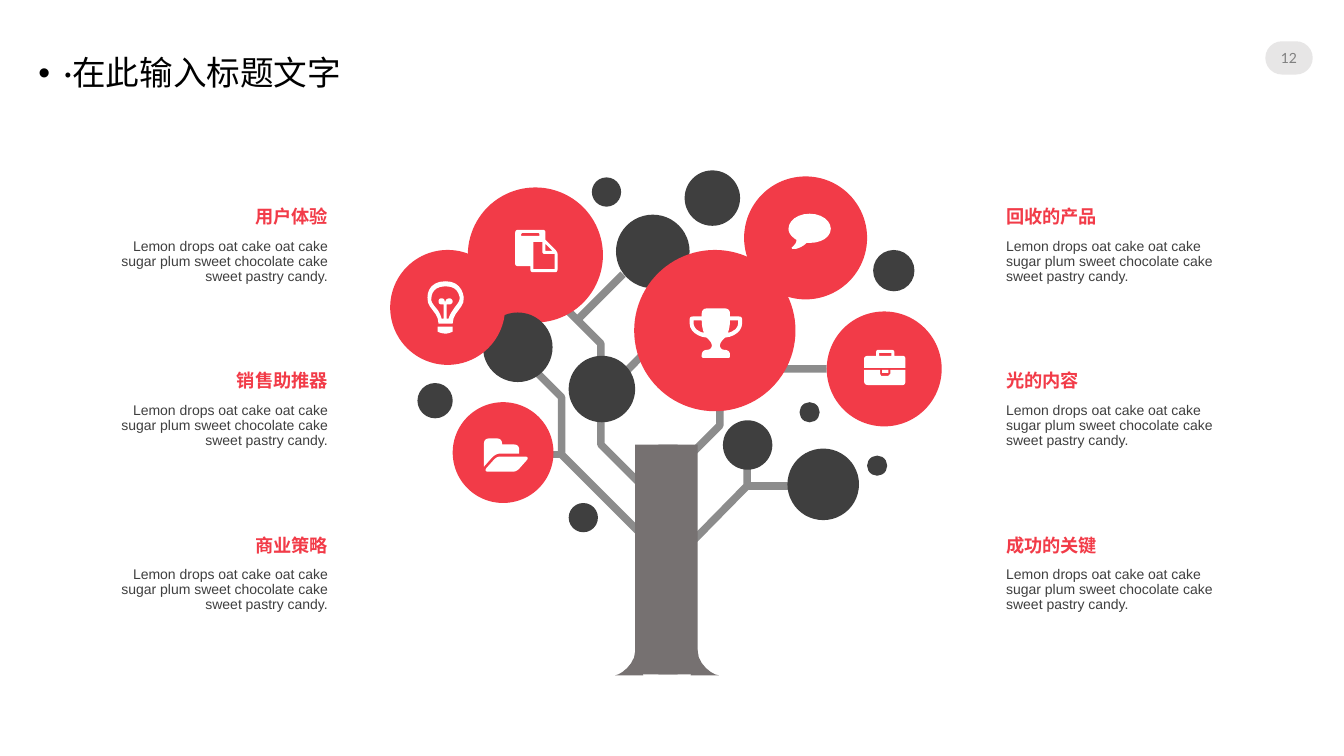
from dataclasses import dataclass

from lxml.etree import SubElement
from pptx import Presentation
from pptx.dml.color import RGBColor
from pptx.enum.lang import MSO_LANGUAGE_ID
from pptx.enum.shapes import MSO_CONNECTOR, MSO_SHAPE
from pptx.enum.text import MSO_ANCHOR, MSO_AUTO_SIZE, PP_ALIGN
from pptx.oxml.ns import qn
from pptx.shapes.autoshape import Shape
from pptx.slide import Slide
from pptx.text.text import TextFrame
from pptx.util import Emu, Inches, Pt

RED = RGBColor(0xF2, 0x3B, 0x48)
DARK = RGBColor(0x3F, 0x3F, 0x3F)
BRANCH_GRAY = RGBColor(0x8C, 0x8C, 0x8C)
TRUNK_GRAY = RGBColor(0x76, 0x71, 0x71)
PILL_GRAY = RGBColor(0xE7, 0xE6, 0xE6)
NUMBER_GRAY = RGBColor(0x80, 0x80, 0x80)
WHITE = RGBColor(0xFF, 0xFF, 0xFF)
BLACK = RGBColor(0, 0, 0)

CELL = Inches(0.01)
COLUMNS, ROWS = 1333, 750
CURVE_STEPS = 6
BODY = "Lemon drops oat cake oat cake sugar plum sweet chocolate cake sweet pastry candy."
FIRST_TOPIC_ROW, TOPIC_STEP = 206, 163

Point = tuple[float, float]


@dataclass(frozen=True)
class Box:
    column: float
    row: float
    columns: float
    rows: float

    def lengths(self) -> tuple[Emu, Emu, Emu, Emu]:
        return tuple(cells(count) for count in (self.column, self.row, self.columns, self.rows))


@dataclass(frozen=True)
class Circle:
    column: float
    row: float
    diameter: float
    color: RGBColor = DARK


@dataclass(frozen=True)
class TextStyle:
    size: float
    color: RGBColor
    font: str = "Arial"
    bold: bool = False
    alignment: PP_ALIGN = PP_ALIGN.LEFT
    space_before: float = 7.5
    line_spacing: float = 0.9


@dataclass(frozen=True)
class TopicSide:
    column: float
    alignment: PP_ALIGN
    headings: tuple[str, ...]


BRANCHES = (
    "M 650 544 L 557 451 557 394 517 354",
    "M 684 452 L 714 422 714 352 784 282 784 238",
    "M 714 406 L 754 366 820 366",
    "M 650 339 L 596 394",
    "M 548 293 L 596 341 596 441 638 483",
    "M 755 312 L 703 260",
    "M 684 540 L 741 482 741 441",
    "M 557 451 L 530 451",
    "M 741 482 L 784 482",
    "M 572 318 L 618 272",
)
ROOTS = (
    "M 630 646 C 630 659 615 670 610 670 L 638 670 630 644",
    "M 692 646 C 692 659 707 670 713 670 L 685 670 692 644",
)
CIRCLES = (
    Circle(820, 309, 114, RED), Circle(738, 175, 122, RED), Circle(464, 186, 134, RED),
    Circle(781, 445, 71), Circle(611, 213, 73), Circle(449, 399, 100, RED),
    Circle(564, 353, 66), Circle(717, 417, 49), Circle(414, 380, 35),
    Circle(866, 248, 41), Circle(587, 176, 29), Circle(564, 499, 29),
    Circle(860, 452, 20), Circle(479, 310, 69), Circle(793, 399, 20),
    Circle(387, 248, 114, RED), Circle(679, 169, 55), Circle(629, 248, 160, RED),
)
BRIEFCASE = (
    "M 875 367 L 881 367 881 370 875 370 "
    "M 857 367 L 873 367 873 371 874 373 881 373 883 371 883 367 898 367 898 378 "
    "C 898 381 897 382 895 382 L 861 382 C 859 382 857 381 857 378 "
    "M 872 350 L 872 353 884 353 884 350 "
    "M 871 347 L 884 347 C 886 347 887 348 887 349 L 887 353 895 353 "
    "C 897 353 898 354 898 356 L 898 365 857 365 857 356 C 857 354 859 353 861 353 "
    "L 869 353 869 349 C 869 348 870 347 871 347"
)
SPEECH_BUBBLE = (
    "M 803 212 C 815 212 824 219 824 227 C 824 235 815 241 803 241 L 800 241 "
    "C 797 244 793 246 789 247 L 786 247 785 246 C 788 243 790 241 790 238 "
    "C 785 235 782 231 782 227 C 782 219 791 212 803 212"
)
FOLDER = (
    "M 496 453 L 521 453 C 523 453 524 454 523 456 L 515 465 C 513 467 511 468 509 468 "
    "L 484 468 C 482 468 481 467 482 465 L 490 456 C 492 454 494 453 496 453 "
    "M 485 435 L 493 435 C 496 435 498 437 498 440 L 498 441 510 441 "
    "C 513 441 515 443 515 446 L 515 450 496 450 C 493 450 490 452 488 454 "
    "L 480 463 480 440 C 480 437 482 435 485 435"
)
DOCUMENTS = (
    "M 541 242 L 541 249 548 249 "
    "M 529 240 L 529 267 550 267 550 252 540 252 C 539 252 538 251 538 250 L 538 240 "
    "M 518 231 L 517 232 517 234 518 234 534 234 535 234 535 232 534 231 "
    "M 514 228 L 539 228 C 540 228 541 229 541 231 L 541 238 542 239 551 248 "
    "C 552 249 553 251 553 252 L 553 267 C 553 269 552 270 551 270 L 528 270 "
    "C 527 270 526 269 526 267 L 526 264 514 264 C 512 264 511 263 511 262 "
    "L 511 231 C 511 229 512 228 514 228"
)
BULB = (
    "M 449 321 C 449 309 461 306 460 295 C 459 287 454 279 442 279 "
    "C 429 279 424 287 424 295 C 423 306 435 309 435 321 "
    "M 428 295 C 428 292 430 284 442 284 C 454 284 455 292 456 295 "
    "C 456 299 454 301 451 305 C 449 308 446 312 445 316 L 443 316 443 302 446 302 "
    "C 447 302 449 301 449 299 C 449 297 447 296 446 296 C 444 296 442 297 442 299 "
    "L 441 299 C 441 297 440 296 438 296 C 436 296 435 297 435 299 "
    "C 435 301 436 302 438 302 L 440 302 440 316 438 316 "
    "C 437 312 435 308 432 305 C 429 301 427 299 428 295"
)
BULB_BASE = "M 434 329 C 436 330 439 331 442 331 C 444 331 447 330 449 329 L 449 324 434 324"
TROPHY = (
    "M 724 318 C 724 323 723 327 722 330 C 725 330 727 328 729 327 "
    "C 731 325 732 323 732 321 L 732 318 "
    "M 688 318 L 688 321 C 688 323 689 325 691 327 C 693 328 695 330 698 330 "
    "C 697 327 696 323 696 318 "
    "M 701 306 L 719 306 C 722 306 724 308 724 311 L 724 314 733 314 "
    "C 735 314 736 315 736 317 L 736 321 C 736 328 729 334 719 335 "
    "C 716 338 714 340 714 343 C 714 345 716 347 718 347 C 722 347 724 349 724 352 "
    "L 724 354 723 355 697 355 696 354 696 352 C 696 349 698 347 702 347 "
    "C 704 347 706 345 706 343 C 706 340 704 338 701 335 C 691 334 684 328 684 321 "
    "L 684 317 C 684 315 685 314 687 314 L 696 314 696 311 C 696 308 698 306 701 306"
)
ICONS = (BRIEFCASE, SPEECH_BUBBLE, FOLDER, DOCUMENTS, BULB, BULB_BASE, TROPHY)
TRUNK = (Box(653, 441, 19, 228), Box(630, 441, 62, 228))
TOPIC_SIDES = (
    TopicSide(118, PP_ALIGN.RIGHT, ("用户体验", "销售助推器", "商业策略")),
    TopicSide(998, PP_ALIGN.LEFT, ("回收的产品", "光的内容", "成功的关键")),
)


def cells(count: float) -> Emu:
    return Emu(round(count * CELL))


def bezier(start: Point, first: Point, second: Point, end: Point) -> list[Point]:
    points = []
    for step in range(1, CURVE_STEPS + 1):
        t = step / CURVE_STEPS
        weights = ((1 - t) ** 3, 3 * t * (1 - t) ** 2, 3 * t * t * (1 - t), t ** 3)
        points.append(tuple(
            sum(weight * value for weight, value in zip(weights, values))
            for values in zip(start, first, second, end)
        ))
    return points


def contours_of(outline: str) -> list[list[Point]]:
    contours = []
    for contour_text in outline.split("M")[1:]:
        contour = []
        for curve_index, curve_text in enumerate(contour_text.replace("L", "|L").replace("C", "|C").split("|")):
            numbers = [float(word) for word in curve_text.strip("LC ").split()]
            points = list(zip(numbers[::2], numbers[1::2]))
            if curve_index and curve_text.startswith("C"):
                points = bezier(contour[-1], *points)
            contour.extend(points)
        contours.append(contour)
    return contours


def paint(shape: Shape, color: RGBColor) -> None:
    shape.shadow.inherit = False
    shape.fill.solid()
    shape.fill.fore_color.rgb = color
    shape.line.fill.background()


def draw_freeform(slide: Slide, outline: str, closed: bool = True) -> Shape:
    contours = [[(cells(x), cells(y)) for x, y in contour] for contour in contours_of(outline)]
    builder = slide.shapes.build_freeform(*contours[0][0])
    for index, contour in enumerate(contours):
        if index:
            builder.move_to(*contour[0])
        builder.add_line_segments(contour[1:], close=closed)
    return builder.convert_to_shape()


def draw_branch(slide: Slide, outline: str) -> None:
    points = contours_of(outline)[0]
    if len(points) == 2:
        ends = [cells(value) for point in points for value in point]
        branch = slide.shapes.add_connector(MSO_CONNECTOR.STRAIGHT, *ends)
    else:
        branch = draw_freeform(slide, outline, closed=False)
        branch.fill.background()
    branch.line.color.rgb = BRANCH_GRAY
    branch.line.width = Pt(5.38)
    SubElement(branch._element.spPr, qn("a:effectLst"))


def draw_preset(slide: Slide, kind: MSO_SHAPE, box: Box, color: RGBColor) -> Shape:
    shape = slide.shapes.add_shape(kind, *box.lengths())
    paint(shape, color)
    return shape


def write(text_frame: TextFrame, text: str, style: TextStyle, inset: float = 0) -> None:
    text_frame.text = text
    text_frame.word_wrap = True
    text_frame.auto_size = MSO_AUTO_SIZE.NONE
    text_frame.vertical_anchor = MSO_ANCHOR.TOP
    text_frame.margin_left = text_frame.margin_right = cells(inset)
    text_frame.margin_top = text_frame.margin_bottom = cells(inset / 2)
    paragraph = text_frame.paragraphs[0]
    paragraph.alignment = style.alignment
    paragraph.line_spacing = style.line_spacing
    paragraph.space_before = Pt(style.space_before)
    font = paragraph.runs[0].font
    font.name, font.size, font.bold = style.font, Pt(style.size), style.bold
    font.color.rgb = style.color
    if not text.isascii():
        font.language_id = MSO_LANGUAGE_ID.SIMPLIFIED_CHINESE


def draw_title(slide: Slide) -> None:
    title = slide.shapes.title
    title.left, title.top, title.width, title.height = Box(28, 51, 417, 46).lengths()
    write(title.text_frame, "·在此输入标题文字", TextStyle(24, BLACK, "Lato", space_before=10), inset=10)
    properties = title.text_frame.paragraphs[0]._p.get_or_add_pPr()
    properties.set("marL", str(cells(25)))
    properties.set("indent", str(cells(-25)))
    SubElement(properties, qn("a:buFont"), typeface="Arial")
    SubElement(properties, qn("a:buChar"), char="•")


def draw_page_number(slide: Slide) -> None:
    pill = draw_preset(slide, MSO_SHAPE.ROUNDED_RECTANGLE, Box(1255, 41, 47, 33), PILL_GRAY)
    pill.adjustments[0] = 0.5
    style = TextStyle(10, NUMBER_GRAY, "Lato", alignment=PP_ALIGN.CENTER, space_before=0, line_spacing=1.0)
    write(pill.text_frame, "12", style)
    pill.text_frame.vertical_anchor = MSO_ANCHOR.MIDDLE


def draw_topics(slide: Slide, side: TopicSide) -> None:
    for index, heading in enumerate(side.headings):
        row = FIRST_TOPIC_ROW + index * TOPIC_STEP
        heading_box = slide.shapes.add_textbox(*Box(side.column, row, 207, 25).lengths())
        write(heading_box.text_frame, heading, TextStyle(13, RED, bold=True, alignment=side.alignment))
        body_box = slide.shapes.add_textbox(*Box(side.column, row + 31, 207, 58).lengths())
        write(body_box.text_frame, BODY, TextStyle(10, DARK, alignment=side.alignment))


def main() -> None:
    presentation = Presentation()
    presentation.slide_width, presentation.slide_height = cells(COLUMNS), cells(ROWS)
    slide = presentation.slides.add_slide(presentation.slide_layouts[5])
    draw_title(slide)
    draw_page_number(slide)
    for branch in BRANCHES:
        draw_branch(slide, branch)
    for root in ROOTS:
        paint(draw_freeform(slide, root), TRUNK_GRAY)
    for circle in CIRCLES:
        box = Box(circle.column, circle.row, circle.diameter, circle.diameter)
        draw_preset(slide, MSO_SHAPE.OVAL, box, circle.color)
    for icon in ICONS:
        paint(draw_freeform(slide, icon), WHITE)
    for side in TOPIC_SIDES:
        draw_topics(slide, side)
    for box in TRUNK:
        draw_preset(slide, MSO_SHAPE.RECTANGLE, box, TRUNK_GRAY)
    presentation.save("out.pptx")


if __name__ == "__main__":
    main()
